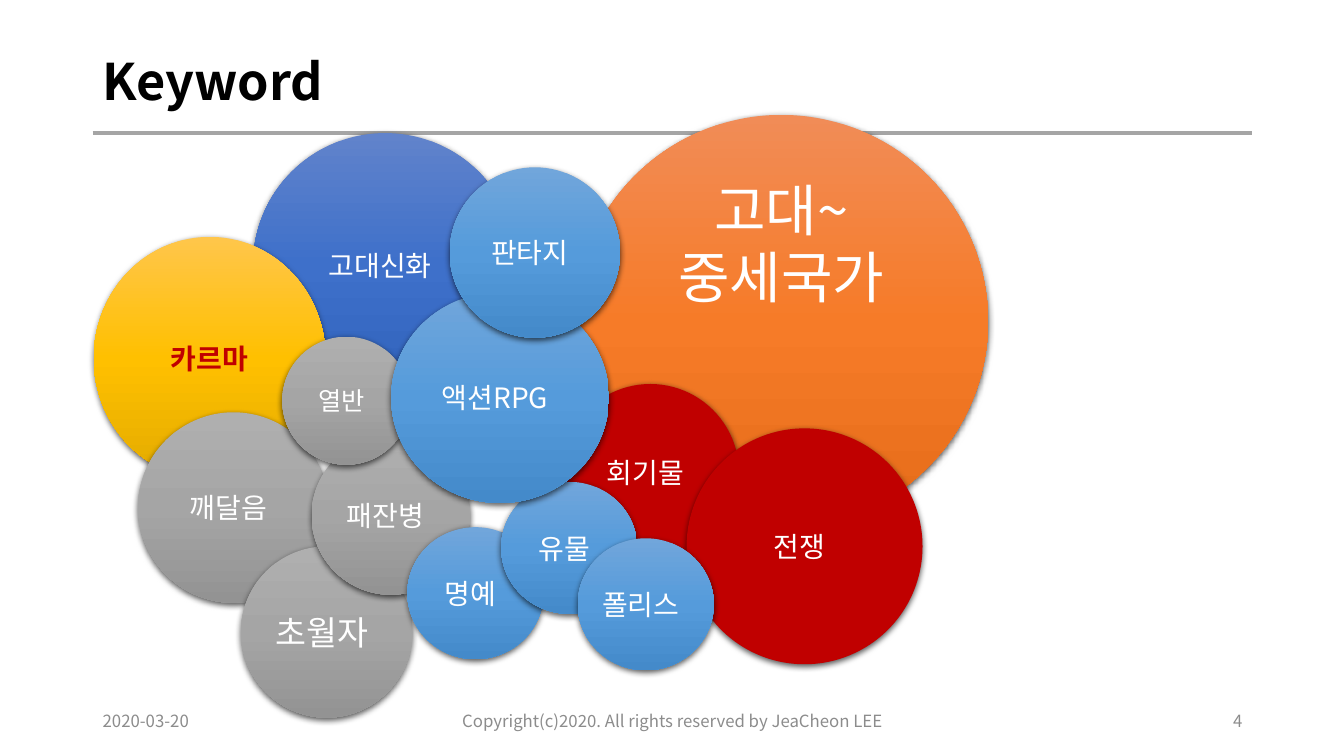
from lxml.etree import SubElement
from pptx import Presentation
from pptx.dml.color import RGBColor
from pptx.enum.shapes import MSO_CONNECTOR, MSO_SHAPE
from pptx.enum.text import MSO_ANCHOR, PP_ALIGN
from pptx.oxml.ns import qn
from pptx.util import Inches, Pt

FONT = "Noto Sans CJK KR"
BLACK = RGBColor(0x00, 0x00, 0x00)
WHITE = RGBColor(0xFF, 0xFF, 0xFF)
RED = RGBColor(0xC0, 0x00, 0x00)
RULE_GRAY = RGBColor(0xA5, 0xA5, 0xA5)
FOOTER_GRAY = RGBColor(0x8C, 0x8C, 0x8C)

# Gradients run from top to bottom through three colours.
ORANGE = ("F18C57", "F67B28", "E56C19")
NAVY = ("6183CB", "3E70CA", "3062BB")
GOLD = ("FFC64B", "FFC000", "E3AB00")
GRAY = ("AFAFAF", "A5A5A5", "939393")
BLUE = ("71A6DB", "559BDB", "448ACA")

LEFT, CONTENT_WIDTH = 0.92, 11.5
LABEL = {"size": 20, "color": WHITE}
BOLD_LABEL = {"size": 20, "color": RED, "bold": True}
CENTERED = {"margin_left": 0, "margin_top": 0, "margin_right": Inches(0.1),
            "margin_bottom": 0, "vertical_anchor": MSO_ANCHOR.MIDDLE}
TOP = {**CENTERED, "margin_right": 0, "vertical_anchor": MSO_ANCHOR.TOP}
PADDED = {"vertical_anchor": MSO_ANCHOR.MIDDLE}

# Text, (left, top, width, height), fill, font format, frame format; back to front.
KEYWORDS = [
    ("고대~\v중세국가", (5.7, 1.14, 4.1, 4.1), ORANGE, {**LABEL, "size": 40}, TOP),
    ("고대신화", (2.51, 1.32, 2.62, 2.62), NAVY, LABEL, CENTERED),
    ("카르마", (0.93, 2.35, 2.3, 2.41), GOLD, BOLD_LABEL, PADDED),
    ("깨달음", (1.37, 4.09, 1.89, 1.89), GRAY, LABEL, CENTERED),
    ("초월자", (2.39, 5.42, 1.7, 1.7), GRAY, {**LABEL, "size": 24}, CENTERED),
    ("패잔병", (3.09, 4.33, 1.57, 1.57), GRAY, LABEL, CENTERED),
    ("명예", (4.04, 5.23, 1.35, 1.31), BLUE, LABEL, CENTERED),
    ("회기물", (5.57, 3.81, 1.76, 1.76), RED, LABEL, CENTERED),
    ("열반", (2.8, 3.34, 1.27, 1.27), GRAY, {**LABEL, "size": 18}, CENTERED),
    ("유물", (4.97, 4.78, 1.35, 1.31), BLUE, LABEL, CENTERED),
    ("전쟁", (6.81, 4.25, 2.34, 2.34), RED, LABEL, CENTERED),
    ("액션RPG", (3.88, 2.9, 2.16, 2.09), BLUE, LABEL, CENTERED),
    ("판타지", (4.46, 1.66, 1.69, 1.69), BLUE, LABEL, CENTERED),
    ("폴리스", (5.73, 5.34, 1.35, 1.31), BLUE, LABEL, CENTERED),
]


def set_text(shape, text, align, font_format, frame_format):
    frame = shape.text_frame
    frame.word_wrap = True
    for name, value in frame_format.items():
        setattr(frame, name, value)
    paragraph = frame.paragraphs[0]
    paragraph.text = text
    paragraph.alignment = align
    for run in paragraph.runs:
        run.font.name = FONT
        SubElement(run.font._element, qn("a:ea")).set("typeface", FONT)
        run.font.size = Pt(font_format["size"])
        run.font.bold = font_format.get("bold", False)
        run.font.color.rgb = font_format["color"]


def set_gradient(shape, colors):
    shape.fill.gradient()
    shape.fill.gradient_angle = 270
    stops = shape._element.spPr.find(f".//{qn('a:gsLst')}")
    for stop in list(stops):
        stops.remove(stop)
    for index, color in enumerate(colors):
        stop = SubElement(stops, qn("a:gs"), pos=str(index * 50000))
        SubElement(stop, qn("a:srgbClr"), val=color)


def set_shadow(shape):
    shape.shadow.inherit = False
    effects = shape._element.spPr.find(qn("a:effectLst"))
    shadow = SubElement(effects, qn("a:outerShdw"), blurRad=str(Pt(4.5)),
                        dist=str(Pt(1.5)), dir="5400000", algn="ctr", rotWithShape="0")
    color = SubElement(shadow, qn("a:srgbClr"), val="000000")
    SubElement(color, qn("a:alpha"), val="63000")


def add_header(slide, left, top, width, height):
    """Place the title in the box, with a rule just below it."""
    rule_top = Inches(top + height + 0.05)
    rule = slide.shapes.add_connector(
        MSO_CONNECTOR.STRAIGHT, Inches(left), rule_top, Inches(left + width), rule_top)
    rule.line.color.rgb = RULE_GRAY
    rule.line.width = Pt(2.25)
    SubElement(rule._element.spPr, qn("a:effectLst"))

    title = slide.shapes.title
    title.left, title.top = Inches(left), Inches(top)
    title.width, title.height = Inches(width), Inches(height)
    set_text(title, "Keyword", PP_ALIGN.LEFT,
             {"size": 36, "color": BLACK, "bold": True}, PADDED)
    title.text_frame.paragraphs[0].line_spacing = 0.9


def add_keyword(slide, text, box, fill, font_format, frame_format):
    circle = slide.shapes.add_shape(MSO_SHAPE.OVAL, *map(Inches, box))
    if isinstance(fill, RGBColor):
        circle.fill.solid()
        circle.fill.fore_color.rgb = fill
    else:
        set_gradient(circle, fill)
    circle.line.fill.background()
    set_shadow(circle)
    set_text(circle, text, PP_ALIGN.CENTER, font_format, frame_format)


def add_footer(slide, left, top, width, height):
    """Place the date, copyright and page number at left, centre and right."""
    parts = [
        ("2020-03-20", 3, 0, PP_ALIGN.LEFT),
        ("Copyright(c)2020. All rights reserved by JeaCheon LEE", 4.5, 0.5, PP_ALIGN.CENTER),
        ("4", 3, 1, PP_ALIGN.RIGHT),
    ]
    for text, part_width, position, align in parts:
        part_left = left + (width - part_width) * position
        part = slide.shapes.add_textbox(
            Inches(part_left), Inches(top), Inches(part_width), Inches(height))
        set_text(part, text, align, {"size": 12, "color": FOOTER_GRAY}, PADDED)


def main():
    presentation = Presentation()
    presentation.slide_width = Inches(13.33)
    presentation.slide_height = Inches(7.5)
    slide = presentation.slides.add_slide(presentation.slide_layouts[5])
    add_header(slide, LEFT, 0.4, CONTENT_WIDTH, 0.87)
    for keyword in KEYWORDS:
        add_keyword(slide, *keyword)
    add_footer(slide, LEFT, 6.95, CONTENT_WIDTH, 0.4)
    presentation.save("out.pptx")


if __name__ == "__main__":
    main()
